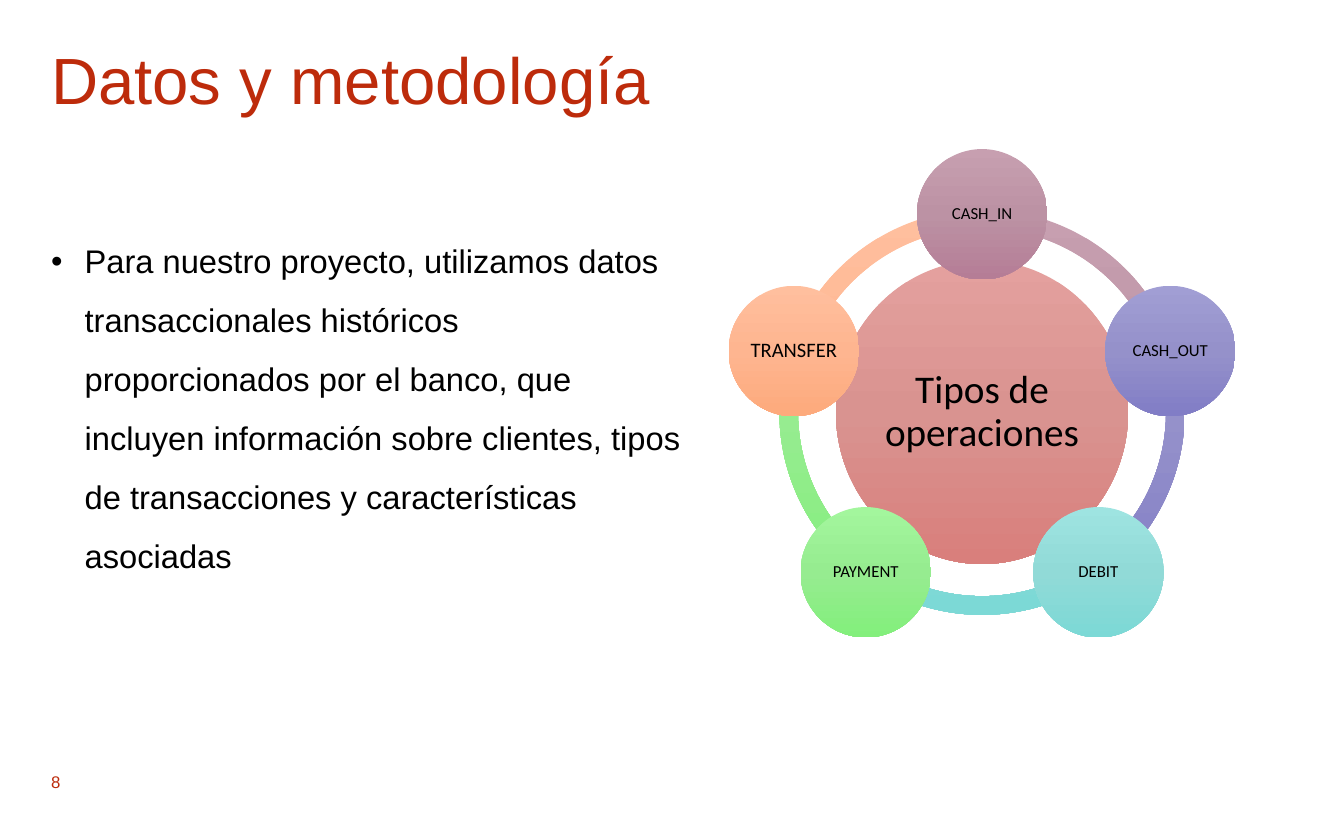
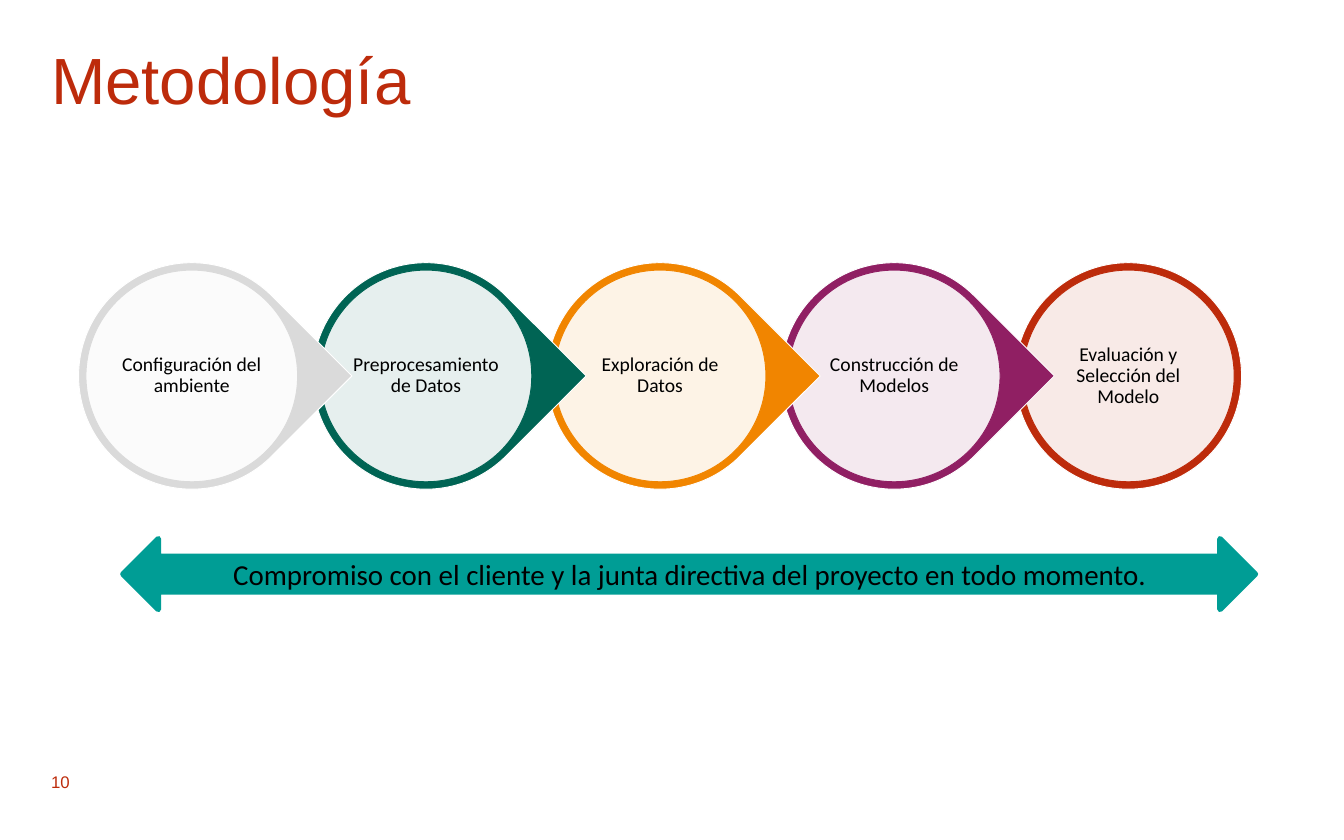
from copy import deepcopy
from dataclasses import dataclass
from math import cos, radians, sin

from lxml.etree import SubElement
from pptx import Presentation
from pptx.dml.color import RGBColor
from pptx.enum.shapes import MSO_SHAPE
from pptx.enum.text import MSO_ANCHOR, MSO_AUTO_SIZE, PP_ALIGN
from pptx.oxml.ns import qn
from pptx.util import Cm, Pt

COLORS = {
    "red": "BD2B0B", "black": "000000", "white": "FFFFFF", "teal": "009D95",
    "gray": "DADADA", "green": "006454", "orange": "F18500", "plum": "901F63",
}
# Top, middle and bottom of each vertical gradient
GRADIENTS = {
    "rose": ("E4A09E", "D99390", "D97F7C"),
    "mauve": ("C79FB0", "BC92A4", "B57D96"),
    "violet": ("A19ED4", "9591CA", "817DC6"),
    "aqua": ("9EE4E1", "91DAD7", "7CD9D6"),
    "lime": ("A3F69D", "96EC90", "83EF7C"),
    "peach": ("FFBF9E", "FEB590", "FDAA7C"),
}
MARGIN = 1.93


@dataclass(frozen=True)
class Operation:
    name: str
    gradient: str
    size: int = 18


@dataclass(frozen=True)
class Step:
    name: str
    color: str


OPERATIONS = [
    Operation("CASH_IN", "mauve"),
    Operation("CASH_OUT", "violet"),
    Operation("DEBIT", "aqua"),
    Operation("PAYMENT", "lime"),
    Operation("TRANSFER", "peach", 22),
]
STEPS = [
    Step("Configuración del ambiente", "gray"),
    Step("Preprocesamiento de Datos", "green"),
    Step("Exploración de Datos", "orange"),
    Step("Construcción de Modelos", "plum"),
    Step("Evaluación y Selección del Modelo", "red"),
]


def rgb(name: str) -> RGBColor:
    return RGBColor.from_string(COLORS[name])


# Text and shape helpers
def write(sp, text: str, *, size: float, font: str = "Calibri",
          color: str = "black", align=PP_ALIGN.CENTER,
          anchor=MSO_ANCHOR.MIDDLE, spacing: float = 0.9, inset: float = 0):
    tf = sp.text_frame
    tf.word_wrap = True
    tf.auto_size = MSO_AUTO_SIZE.NONE
    tf.vertical_anchor = anchor
    tf.margin_left = tf.margin_right = Cm(inset)
    tf.margin_top = tf.margin_bottom = Cm(inset)
    p = tf.paragraphs[0]
    p.alignment = align
    p.line_spacing = spacing
    r = p.add_run()
    r.text = text
    r.font.name = font
    r.font.size = Pt(size)
    r.font.color.rgb = rgb(color)
    return p


def write_plain(sp, text: str, **fmt):
    return write(sp, text, font="Arial", align=PP_ALIGN.LEFT,
                 anchor=MSO_ANCHOR.TOP, **fmt)


def add_centered(slide, kind, cx: float, cy: float, w: float, h: float):
    sp = slide.shapes.add_shape(kind, Cm(cx - w / 2), Cm(cy - h / 2), Cm(w), Cm(h))
    sp.shadow.inherit = False
    sp.line.fill.background()
    return sp


def fill_solid(sp, color: str, line: str, width: float = 1) -> None:
    sp.fill.solid()
    sp.fill.fore_color.rgb = rgb(color)
    sp.line.color.rgb = rgb(line)
    sp.line.width = Pt(width)


def fill_gradient(sp, name: str) -> None:
    sp.fill.gradient()
    sp.fill.gradient_angle = 270
    stops = sp._element.spPr.find(".//" + qn("a:gsLst"))
    stops.insert(1, deepcopy(stops[0]))
    for i, (stop, color) in enumerate(zip(sp.fill.gradient_stops, GRADIENTS[name])):
        stop.position = i / 2
        stop.color.rgb = RGBColor.from_string(color)


def set_opacity(sp, percent: int) -> None:
    color = sp._element.spPr.find(qn("a:solidFill"))[0]
    SubElement(color, qn("a:alpha"), val=str(percent * 1000))


def add_bullet(p, indent: float) -> None:
    pPr = p._p.get_or_add_pPr()
    pPr.set("marL", str(Cm(indent)))
    pPr.set("indent", str(-Cm(indent)))
    SubElement(pPr, qn("a:buFont"), typeface="Arial")
    SubElement(pPr, qn("a:buChar"), char="•")


# Title and page number shared by the slides
def add_slide(prs, title: str, number: int):
    slide = prs.slides.add_slide(prs.slide_layouts[5])
    sp = slide.shapes.title
    sp.left, sp.top, sp.width, sp.height = Cm(MARGIN), Cm(1.83), Cm(46.96), Cm(6.15)
    write_plain(sp, title, size=70, color="red")
    sp = slide.shapes.add_textbox(Cm(MARGIN), Cm(29.16), Cm(1.19), Cm(0.61))
    write_plain(sp, str(number), size=18, color="red", spacing=1.0)
    return slide


# Ring of operation types around a hub
def add_operations(slide, cx: float, cy: float) -> None:
    ring, orbit, node = 15.32, 7.48, 4.93
    turn = 360 / len(OPERATIONS)
    for i, op in reversed(list(enumerate(OPERATIONS))):
        sp = add_centered(slide, MSO_SHAPE.BLOCK_ARC, cx, cy, ring, ring)
        for j in (0, 1):
            # Angles count in units of 100000 / 60000 degrees
            sp.adjustments[j] = (270 + (i + j) * turn) % 360 * 0.6
        sp.adjustments[2] = 0.046
        fill_gradient(sp, op.gradient)

    hub = add_centered(slide, MSO_SHAPE.OVAL, cx, cy, 11.05, 11.48)
    fill_gradient(hub, "rose")
    write(hub, "Tipos de operaciones", size=42)

    for i, op in enumerate(OPERATIONS):
        angle = radians(i * turn - 90)
        sp = add_centered(slide, MSO_SHAPE.OVAL, cx + orbit * cos(angle),
                          cy + orbit * sin(angle), node, node)
        fill_gradient(sp, op.gradient)
        write(sp, op.name, size=op.size)


# Chain of steps, each drop pointing over the next one
def add_steps(slide, first: float, cy: float, gap: float) -> None:
    outer, inner = 8.56, 8.0
    for i, step in reversed(list(enumerate(STEPS))):
        cx = first + i * gap
        last = i == len(STEPS) - 1
        kind = MSO_SHAPE.OVAL if last else MSO_SHAPE.TEAR
        sp = add_centered(slide, kind, cx, cy, outer, outer)
        fill_solid(sp, step.color, "white")
        if not last:
            sp.adjustments[0] = 1.0
            sp.rotation = 45
        sp = add_centered(slide, MSO_SHAPE.OVAL, cx, cy, inner, inner)
        fill_solid(sp, "white", step.color)
        set_opacity(sp, 90)
        write(sp, step.name, size=21)


def main() -> None:
    prs = Presentation()
    prs.slide_width, prs.slide_height = Cm(50.8), Cm(31.75)

    # Data and types of operations
    slide = add_slide(prs, "Datos y metodología", 8)
    sp = slide.shapes.add_textbox(Cm(MARGIN), Cm(8.38), Cm(23.88), Cm(16.94))
    p = write_plain(
        sp, "Para nuestro proyecto, utilizamos datos transaccionales históricos "
        "proporcionados por el banco, que incluyen información sobre clientes, "
        "tipos de transacciones y características asociadas",
        size=35, spacing=1.5)
    p.space_after = Pt(6)
    add_bullet(p, 1.27)
    add_operations(slide, 37.12, 15.58)

    # Steps of the method
    slide = add_slide(prs, "Metodología", 10)
    add_steps(slide, 7.25, 14.21, 8.85)
    arrow = add_centered(slide, MSO_SHAPE.LEFT_RIGHT_ARROW, 26.05, 21.7, 42.8, 2.67)
    fill_solid(arrow, "teal", "teal", 6)
    write(arrow, "Compromiso con el cliente y la junta directiva del proyecto "
          "en todo momento.", size=31, spacing=1.0, inset=0.13)

    prs.save("out.pptx")


if __name__ == "__main__":
    main()
